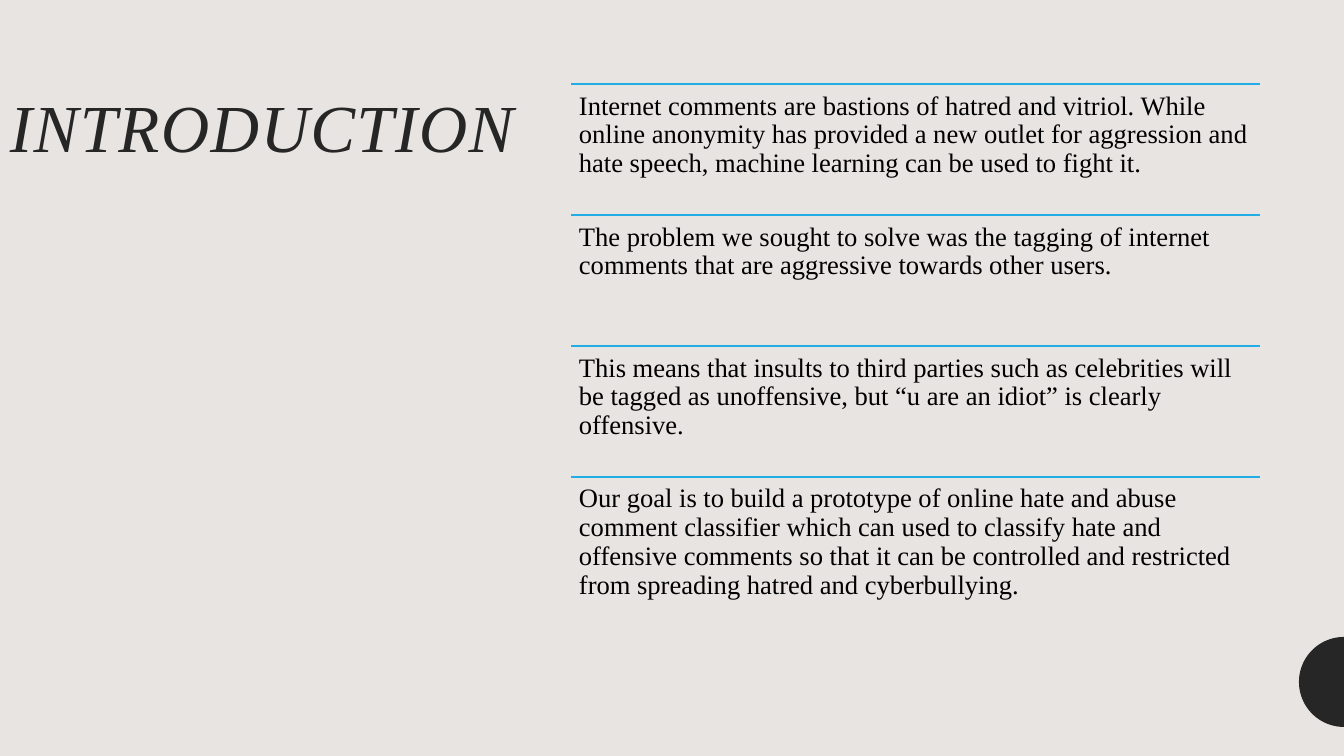
import math
from dataclasses import dataclass

import lxml.etree
import pptx
import pptx.dml.color
import pptx.enum.shapes
import pptx.enum.text
import pptx.oxml.ns
import pptx.util

EMU_PER_PX = 914400 / 100.8
SLIDE_W, SLIDE_H = 1344, 756


@dataclass(frozen=True)
class Theme:
    background: str = "E8E4E2"
    dark: str = "262626"
    body: str = "000000"
    accent: str = "22ADE4"
    font: str = "Times New Roman"
    title_size: int = 48
    body_size: int = 19
    rule_width: int = 1
    line_spacing: float = 0.9


def px(length):
    return pptx.util.Emu(round(length * EMU_PER_PX))


def rgb(code):
    return pptx.dml.color.RGBColor.from_string(code)


class SlideBuilder:
    def __init__(self, slide, theme):
        self.slide = slide
        self.theme = theme
        slide.background.fill.solid()
        slide.background.fill.fore_color.rgb = rgb(theme.background)

    def text(self, content, left, top, width, height, *, size, color,
             inset, italic=False, tracking=0):
        """Add a wrapped, top-anchored text; tracking is in points."""
        box = self.slide.shapes.add_textbox(px(left), px(top), px(width), px(height))
        frame = box.text_frame
        frame.word_wrap = True
        frame.vertical_anchor = pptx.enum.text.MSO_ANCHOR.TOP
        frame.margin_left = frame.margin_right = px(inset)
        frame.margin_top = frame.margin_bottom = px(inset)
        paragraph = frame.paragraphs[0]
        paragraph.line_spacing = self.theme.line_spacing
        run = paragraph.add_run()
        run.text = content
        run.font.name = self.theme.font
        run.font.size = pptx.util.Pt(size)
        run.font.italic = italic
        run.font.color.rgb = rgb(color)
        if tracking:
            run.font._element.set("spc", str(tracking * 100))

    def rule(self, left, top, width):
        line = self.slide.shapes.add_connector(
            pptx.enum.shapes.MSO_CONNECTOR.STRAIGHT,
            px(left), px(top), px(left + width), px(top))
        line.line.color.rgb = rgb(self.theme.accent)
        line.line.width = pptx.util.Pt(self.theme.rule_width)
        lxml.etree.SubElement(line._element.spPr, pptx.oxml.ns.qn("a:effectLst"))

    def left_half_disc(self, center_x, center_y, radius, steps=48):
        """Draw the left half of a disc, cut along its vertical diameter."""
        angles = [math.pi / 2 + math.pi * step / steps for step in range(steps + 1)]
        rim = [(px(center_x + radius * math.cos(angle)),
                px(center_y + radius * math.sin(angle))) for angle in angles]
        outline = self.slide.shapes.build_freeform(*rim[0])
        outline.add_line_segments(rim[1:], close=True)
        disc = outline.convert_to_shape()
        disc.shadow.inherit = False
        disc.fill.solid()
        disc.fill.fore_color.rgb = rgb(self.theme.dark)
        disc.line.fill.background()


STATEMENTS = [
    "Internet comments are bastions of hatred and vitriol. While online anonymity "
    "has provided a new outlet for aggression and hate speech, machine learning "
    "can be used to fight it.",
    "The problem we sought to solve was the tagging of internet comments that are "
    "aggressive towards other users.",
    "This means that insults to third parties such as celebrities will be tagged "
    "as unoffensive, but “u are an idiot” is clearly offensive.",
    "Our goal is to build a prototype of online hate and abuse comment classifier "
    "which can used to classify hate and offensive comments so that it can be "
    "controlled and restricted from spreading hatred and cyberbullying.",
]
CONTENT_TOP = 84
STATEMENT_LEFT, STATEMENT_W, STATEMENT_H = 571, 689, 131


def main():
    theme = Theme()
    deck = pptx.Presentation()
    deck.slide_width, deck.slide_height = px(SLIDE_W), px(SLIDE_H)
    builder = SlideBuilder(deck.slides.add_slide(deck.slide_layouts[6]), theme)

    builder.left_half_disc(SLIDE_W, 682, 45)
    builder.text("INTRODUCTION", 0, CONTENT_TOP, 561, 524, size=theme.title_size,
                 color=theme.dark, inset=10, italic=True, tracking=1)
    for row, statement in enumerate(STATEMENTS):
        top = CONTENT_TOP + row * STATEMENT_H
        builder.rule(STATEMENT_LEFT, top, STATEMENT_W)
        builder.text(statement, STATEMENT_LEFT, top, STATEMENT_W, STATEMENT_H,
                     size=theme.body_size, color=theme.body, inset=8)

    deck.save("out.pptx")


if __name__ == "__main__":
    main()
